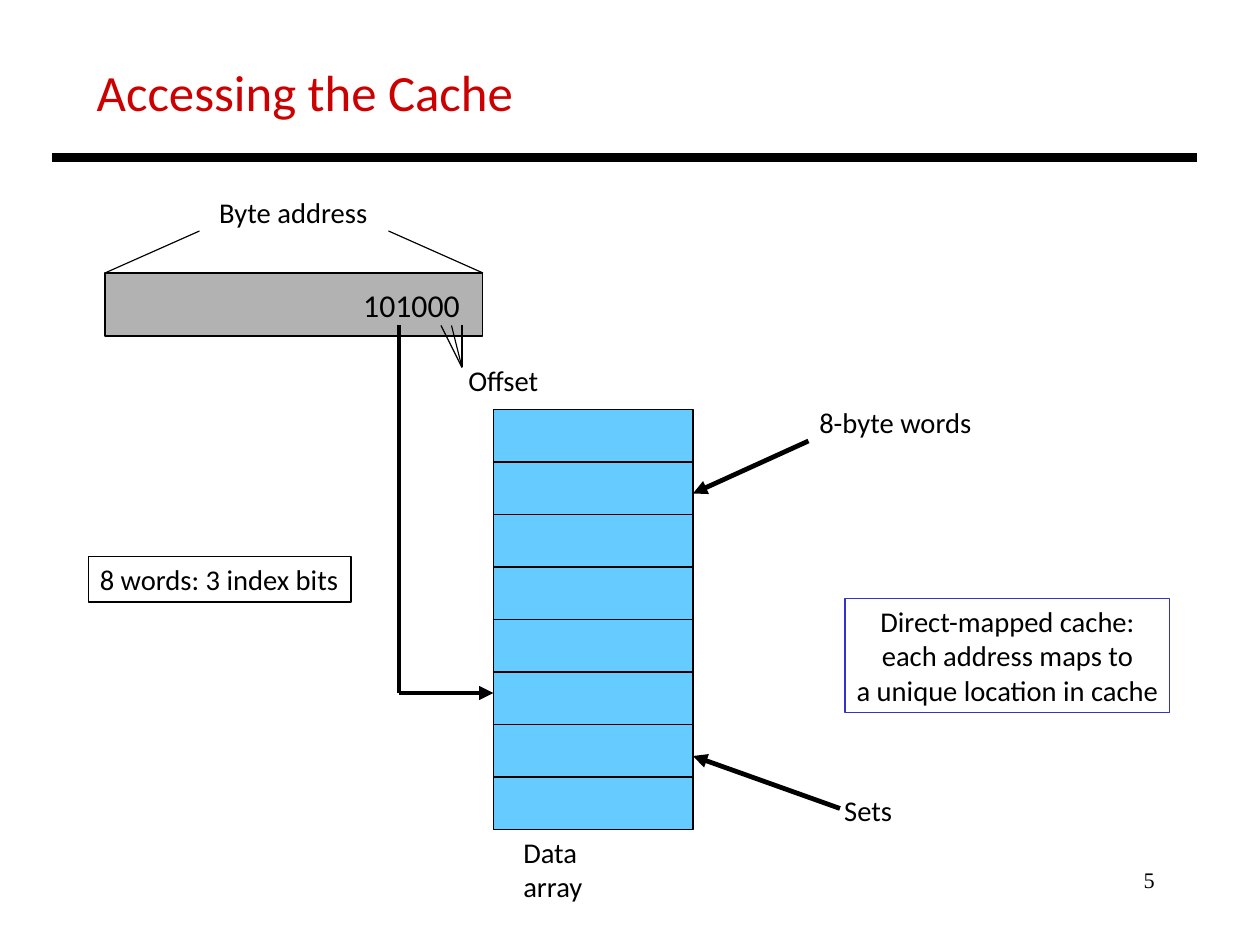
"""Build the slide on accessing a direct-mapped cache."""
from lxml.etree import SubElement
from pptx import Presentation
from pptx.dml.color import RGBColor
from pptx.enum.shapes import MSO_CONNECTOR, MSO_SHAPE
from pptx.enum.text import MSO_ANCHOR, MSO_AUTO_SIZE, PP_ALIGN
from pptx.oxml.ns import qn
from pptx.util import Pt

PX = 4000
BLACK = "000000"
color = RGBColor.from_string


def write(shape, text, size=18, font="Calibri", ink=BLACK, align=PP_ALIGN.LEFT, wrap=False):
    frame = shape.text_frame
    frame.text = text
    frame.word_wrap = wrap
    frame.auto_size = MSO_AUTO_SIZE.NONE if wrap else MSO_AUTO_SIZE.SHAPE_TO_FIT_TEXT
    frame.vertical_anchor = MSO_ANCHOR.TOP
    for paragraph in frame.paragraphs:
        paragraph.alignment = align
        paragraph.font.size = Pt(size)
        paragraph.font.name = font
        paragraph.font.color.rgb = color(ink)


def add_box(left, top, width, height, fill=None, outline=BLACK):
    box = slide.shapes.add_shape(
        MSO_SHAPE.RECTANGLE, left * PX, top * PX, width * PX, height * PX)
    box.shadow.inherit = False
    if fill:
        box.fill.solid()
        box.fill.fore_color.rgb = color(fill)
    else:
        box.fill.background()
    box.line.color.rgb = color(outline)
    box.line.width = Pt(0.75)
    return box


presentation = Presentation()
presentation.slide_width = 2520 * PX
presentation.slide_height = 1890 * PX
slide = presentation.slides.add_slide(presentation.slide_layouts[6])

title = slide.shapes.add_textbox(171 * PX, 110 * PX, 884 * PX, 144 * PX)
write(title, "Accessing the Cache", 32, ink="CC0000")

page_number = slide.shapes.add_textbox(1806 * PX, 1721 * PX, 526 * PX, 126 * PX)
write(page_number, "5", 14, "Times New Roman", align=PP_ALIGN.RIGHT, wrap=True)

for row in range(8):
    add_box(987, 819 + 105 * row, 399, 105, fill="66CCFF")

address = add_box(210, 546, 756, 126, fill="B2B2B2")
write(address, "101000", 20, align=PP_ALIGN.RIGHT, wrap=True)
address.text_frame.vertical_anchor = MSO_ANCHOR.MIDDLE
address.text_frame.margin_right = 46 * PX

mapping_note = add_box(1690, 1197, 650, 228, outline="3333CC")
write(mapping_note, "Direct-mapped cache:\neach address maps to\na unique location in cache",
      align=PP_ALIGN.CENTER)
write(add_box(177, 1113, 525, 91), "8 words: 3 index bits")

labels = [
    ("Byte address", 416, 378, 346),
    ("Offset", 914, 714, 188),
    ("8-byte words", 1616, 798, 352),
    ("Sets", 1666, 1575, 146),
    ("Data array", 1024, 1659, 280),
]
for text, left, top, width in labels:
    label = slide.shapes.add_textbox(left * PX, top * PX, width * PX, 91 * PX)
    write(label, text)

lines = [
    (105, 315, 2394, 315, 6, False),
    (399, 462, 210, 546, 0.75, False),
    (777, 462, 966, 546, 0.75, False),
    (798, 651, 798, 1386, 3, False),
    (798, 1386, 987, 1386, 3, True),
    (1617, 882, 1386, 987, 3, True),
    (1680, 1617, 1386, 1512, 3, True),
]
lines += [(offset_bit, 651, 924, 735, 0.75, False) for offset_bit in (882, 903, 924)]
for start_x, start_y, end_x, end_y, weight, has_arrow in lines:
    connector = slide.shapes.add_connector(
        MSO_CONNECTOR.STRAIGHT, start_x * PX, start_y * PX, end_x * PX, end_y * PX)
    connector.line.color.rgb = color(BLACK)
    connector.line.width = Pt(weight)
    if has_arrow:
        SubElement(connector.line._get_or_add_ln(), qn("a:tailEnd"), type="triangle")
    SubElement(connector._element.spPr, qn("a:effectLst"))

presentation.save("out.pptx")
